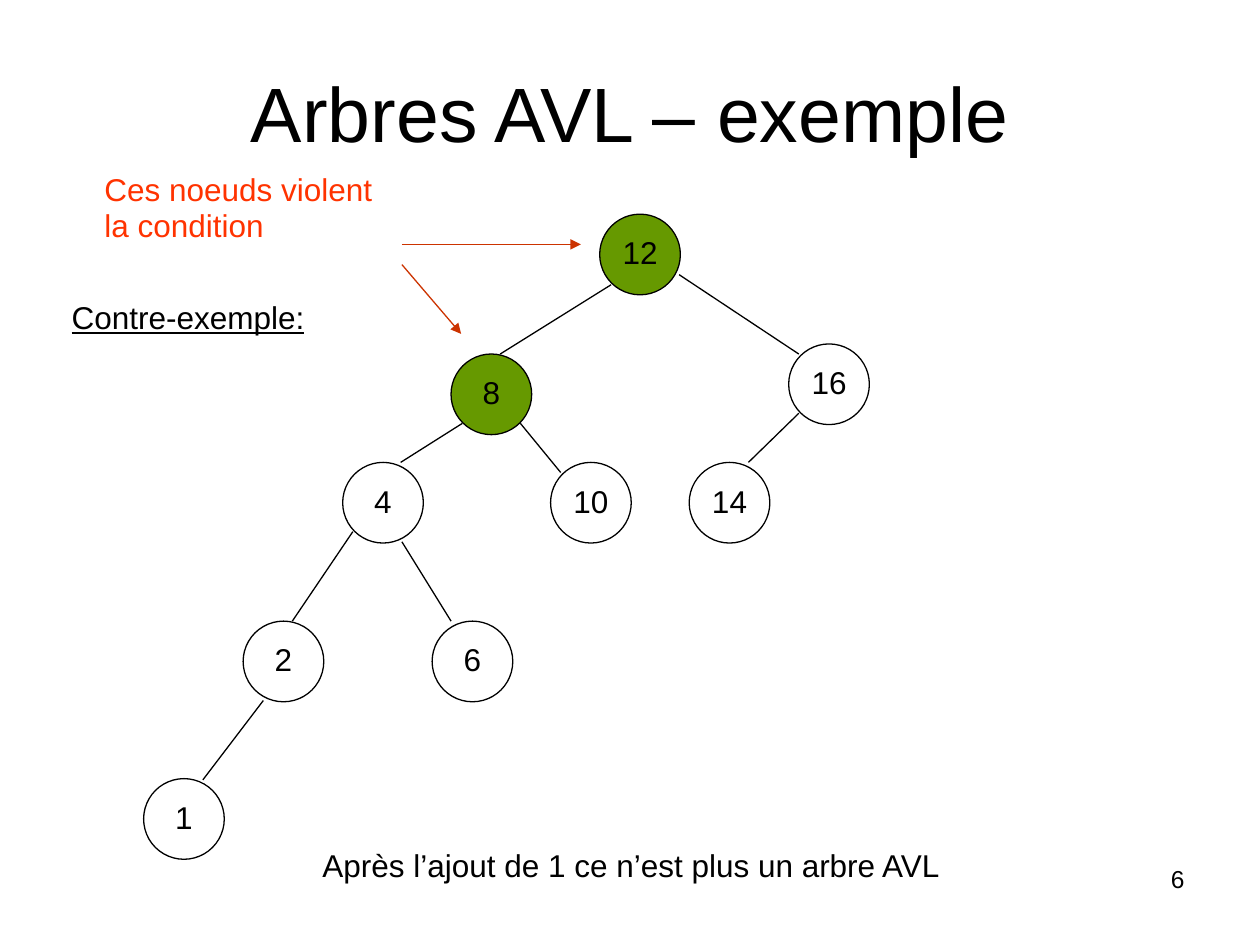
from dataclasses import dataclass

from lxml import etree
from pptx import Presentation
from pptx import util as u
from pptx.dml.color import RGBColor
from pptx.enum import shapes, text
from pptx.oxml.ns import qn


@dataclass(frozen=True)
class Theme:
    font: str = "Arial"
    ink: str = "000000"
    warning: str = "FF3300"
    arrow: str = "CC3300"
    violating: str = "669900"
    title_size: int = 44
    body_size: int = 18
    number_size: int = 14
    line_width: float = 0.75
    line_spacing: float = 0.93
    node_size: float = 0.64


class TreePage:
    def __init__(self, page, theme):
        self.page = page
        self.theme = theme

    def set_lines(self, frame, lines, size, color, align, underline=None):
        for index, line in enumerate(lines):
            para = frame.paragraphs[0] if index == 0 else frame.add_paragraph()
            para.text = line
            para.alignment = align
            para.line_spacing = self.theme.line_spacing
            para.font.name = self.theme.font
            para.font.size = u.Pt(size)
            para.font.underline = underline
            para.font.color.rgb = RGBColor.from_string(color)

    def label(self, place, lines, size=None, color=None, wrap=False,
              align=text.PP_ALIGN.LEFT, anchor=text.MSO_ANCHOR.TOP, underline=None):
        box = self.page.shapes.add_textbox(*map(u.Inches, place))
        frame = box.text_frame
        frame.word_wrap = wrap
        frame.vertical_anchor = anchor
        self.set_lines(frame, lines, size or self.theme.body_size,
                       color or self.theme.ink, align, underline)

    def node(self, key, left, top, fill=None):
        size = u.Inches(self.theme.node_size)
        circle = self.page.shapes.add_shape(
            shapes.MSO_SHAPE.OVAL, u.Inches(left), u.Inches(top), size, size)
        circle.shadow.inherit = False
        if fill:
            circle.fill.solid()
            circle.fill.fore_color.rgb = RGBColor.from_string(fill)
        else:
            circle.fill.background()
        circle.line.color.rgb = RGBColor.from_string(self.theme.ink)
        circle.line.width = u.Pt(self.theme.line_width)
        frame = circle.text_frame
        frame.word_wrap = False
        frame.vertical_anchor = text.MSO_ANCHOR.MIDDLE
        frame.margin_left = frame.margin_right = 0
        frame.margin_top = frame.margin_bottom = 0
        self.set_lines(frame, [str(key)], self.theme.body_size, self.theme.ink,
                       text.PP_ALIGN.CENTER)

    def line(self, ends, color=None, arrow=False):
        connector = self.page.shapes.add_connector(
            shapes.MSO_CONNECTOR.STRAIGHT, *map(u.Inches, ends))
        connector.line.color.rgb = RGBColor.from_string(color or self.theme.ink)
        connector.line.width = u.Pt(self.theme.line_width)
        properties = connector._element.spPr
        if arrow:
            outline = properties.find(qn("a:ln"))
            etree.SubElement(outline, qn("a:tailEnd"), type="triangle")
        etree.SubElement(properties, qn("a:effectLst"))


# key, left, top, violates the AVL condition
NODES = [
    (12, 4.76, 1.70, True),
    (8, 3.58, 2.81, True),
    (16, 6.26, 2.73, False),
    (4, 2.72, 3.67, False),
    (10, 4.37, 3.67, False),
    (14, 5.47, 3.67, False),
    (2, 1.93, 4.93, False),
    (6, 3.43, 4.93, False),
    (1, 1.14, 6.18, False),
]

# from x, from y, to x, to y
EDGES = [
    (4.85, 2.26, 3.97, 2.81),
    (5.39, 2.18, 6.34, 2.81),
    (6.34, 3.28, 5.94, 3.67),
    (4.13, 3.36, 4.45, 3.75),
    (3.67, 3.36, 3.18, 3.67),
    (3.19, 4.30, 3.58, 4.93),
    (2.80, 4.22, 2.32, 4.93),
    (2.09, 5.56, 1.61, 6.19),
]

ARROWS = [(3.19, 1.94, 4.61, 1.94), (3.19, 2.10, 3.66, 2.65)]


def main():
    deck = Presentation()
    deck.slide_width, deck.slide_height = u.Inches(10), u.Inches(7.5)
    theme = Theme()
    tree = TreePage(deck.slides.add_slide(deck.slide_layouts[6]), theme)

    tree.label((0.5, 0.3, 9, 1.25), ["Arbres AVL – exemple"], theme.title_size,
               wrap=True, align=text.PP_ALIGN.CENTER, anchor=text.MSO_ANCHOR.MIDDLE)
    for key, left, top, violates in NODES:
        tree.node(key, left, top, theme.violating if violates else None)
    for edge in EDGES:
        tree.line(edge)

    tree.label((0.73, 1.33, 2.33, 0.66), ["Ces noeuds violent", "la condition"],
               color=theme.warning)
    for arrow in ARROWS:
        tree.line(arrow, theme.arrow, arrow=True)

    tree.label((0.47, 2.34, 2.07, 0.38), ["Contre-exemple:"], underline=True)
    tree.label((2.46, 6.69, 5.14, 0.38),
               ["Après l’ajout de 1 ce n’est plus un arbre AVL"])
    tree.label((7.17, 6.83, 2.33, 0.52), ["6"], theme.number_size,
               wrap=True, align=text.PP_ALIGN.RIGHT)
    deck.save("out.pptx")


if __name__ == "__main__":
    main()
